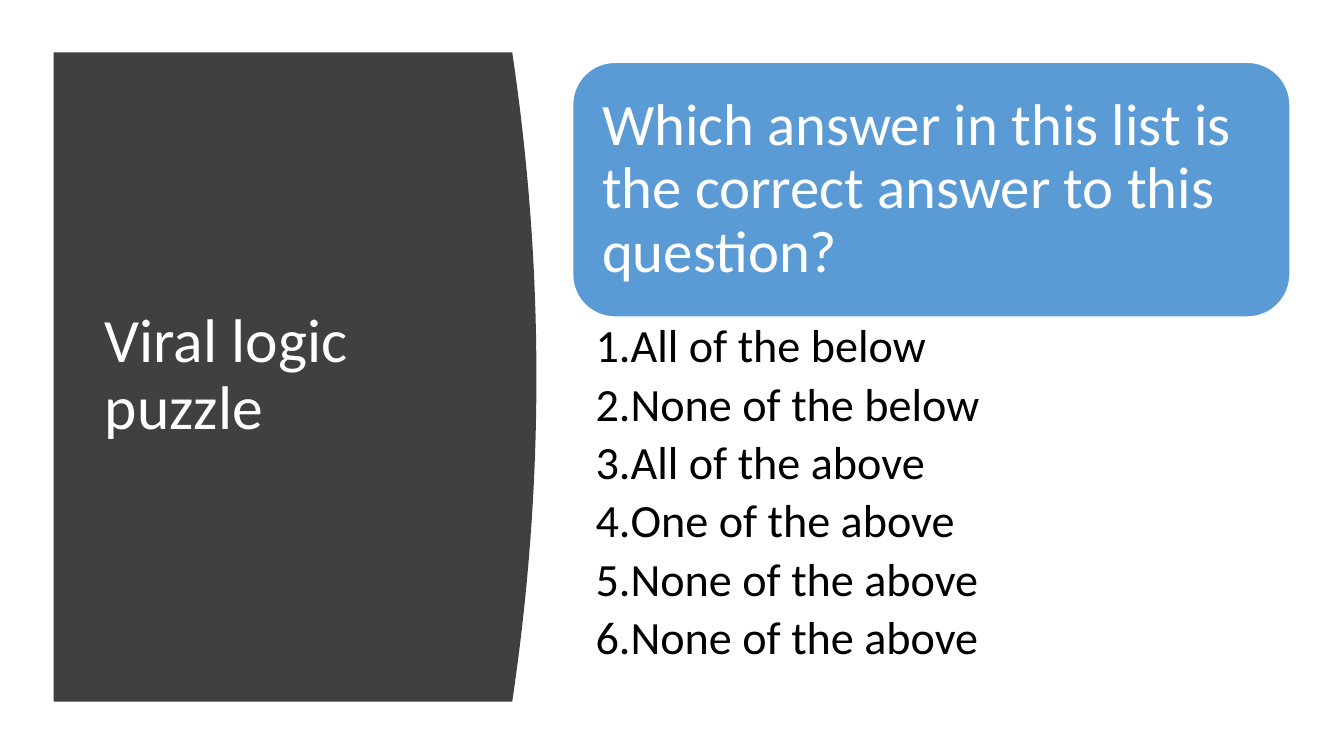
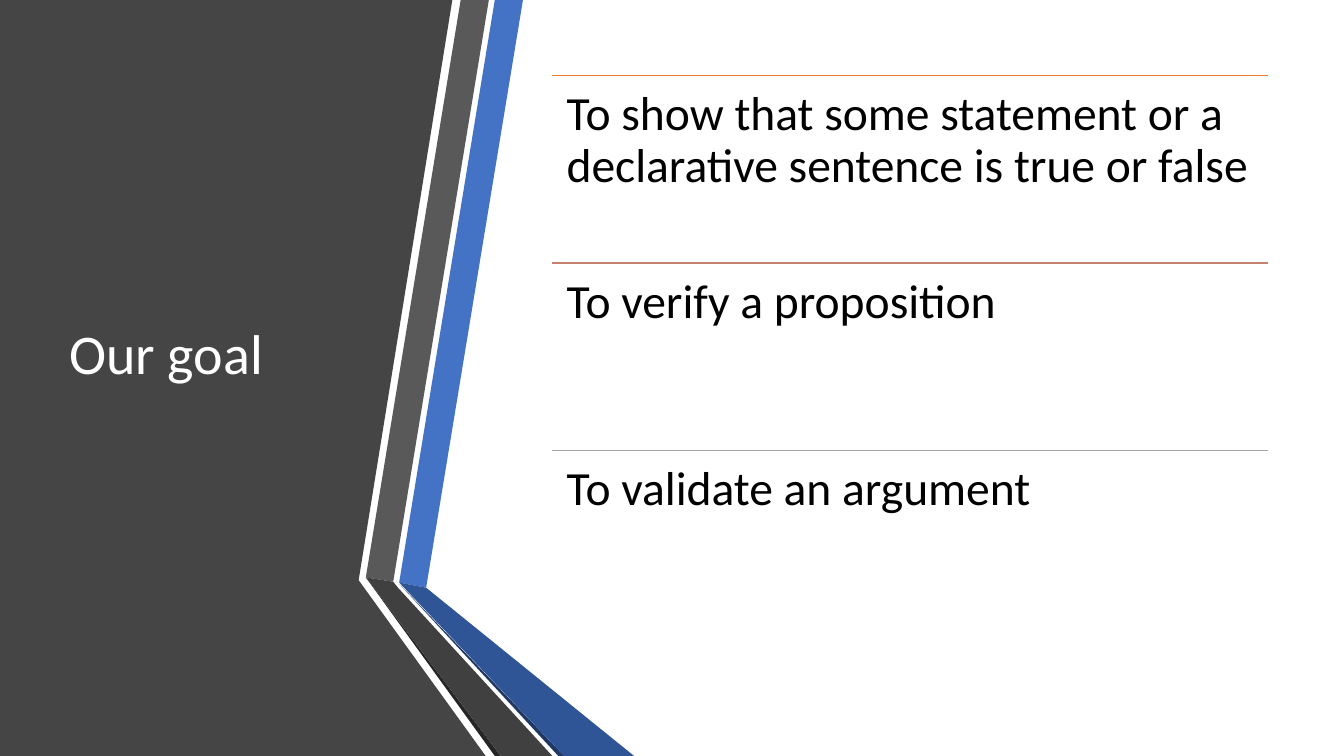
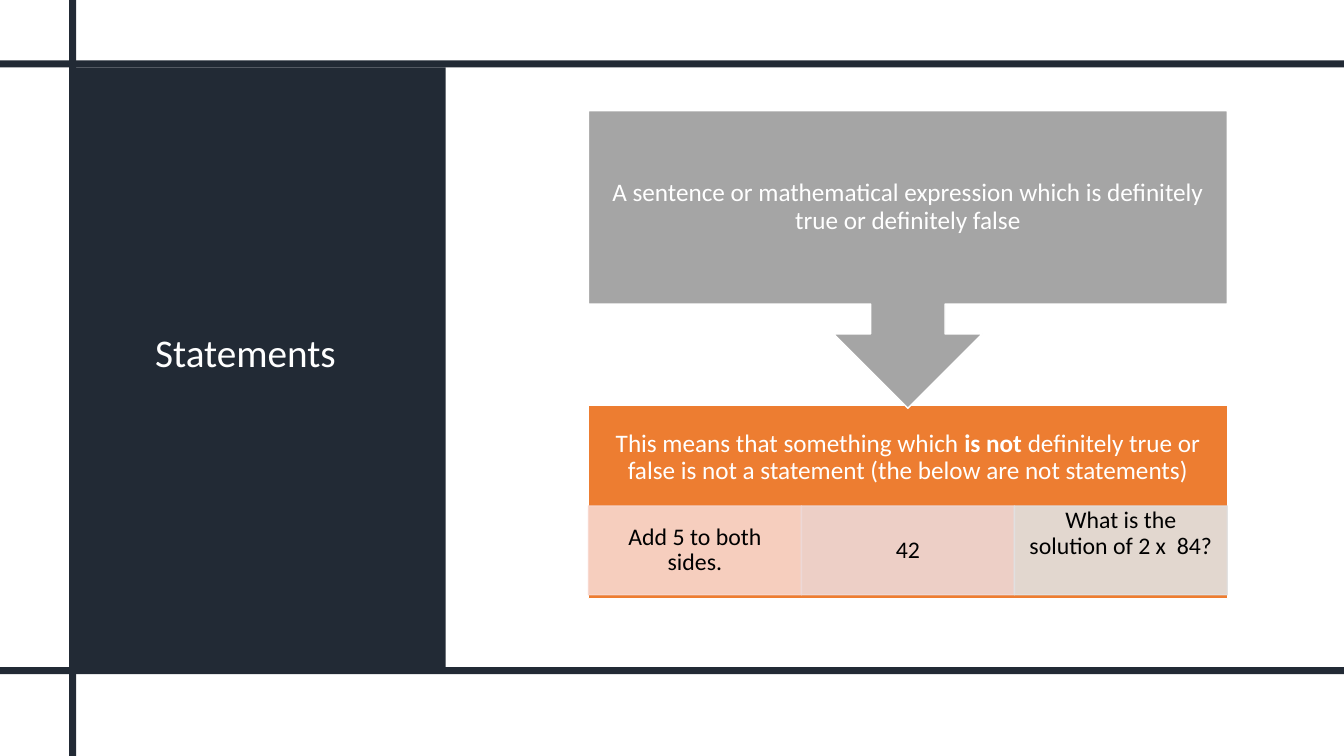
from lxml import etree
from pptx import Presentation
from pptx.dml.color import RGBColor
from pptx.enum.shapes import MSO_CONNECTOR, MSO_SHAPE
from pptx.enum.text import MSO_ANCHOR, MSO_AUTO_SIZE, PP_ALIGN
from pptx.oxml.ns import qn
from pptx.util import Cm, Pt

RECT = MSO_SHAPE.RECTANGLE
ROUND = MSO_SHAPE.ROUNDED_RECTANGLE
CALLOUT = MSO_SHAPE.DOWN_ARROW_CALLOUT
STRAIGHT = MSO_CONNECTOR.STRAIGHT
TOP, MIDDLE = MSO_ANCHOR.TOP, MSO_ANCHOR.MIDDLE
LEFT, CENTER = PP_ALIGN.LEFT, PP_ALIGN.CENTER
NO_FIT = MSO_AUTO_SIZE.NONE

WHITE = RGBColor(0xFF, 0xFF, 0xFF)
BLACK = RGBColor(0x00, 0x00, 0x00)
CHARCOAL = RGBColor(0x40, 0x40, 0x40)
SLATE = RGBColor(0x45, 0x45, 0x45)
GREY = RGBColor(0x59, 0x59, 0x59)
SOOT = RGBColor(0x26, 0x26, 0x26)
SILVER = RGBColor(0xA5, 0xA5, 0xA5)
SKY = RGBColor(0x5B, 0x9B, 0xD5)
BLUE = RGBColor(0x44, 0x72, 0xC4)
DENIM = RGBColor(0x2F, 0x55, 0x97)
NAVY = RGBColor(0x20, 0x38, 0x64)
INK = RGBColor(0x22, 0x2A, 0x35)
ORANGE = RGBColor(0xED, 0x7D, 0x31)
ROSE = RGBColor(0xC4, 0x81, 0x70)
PEACH = RGBColor(0xF8, 0xD7, 0xCE)
PINK = RGBColor(0xED, 0xD9, 0xD7)
PALE = RGBColor(0xE1, 0xE1, 0xE1)

FONT = "Calibri"
WIDTH, HEIGHT = 33.87, 19.05
INSET = (0.36, 0.36, 0.36, 0.36)


def assign(item, values):
    """Set every attribute in a dict of values."""
    for name, value in values.items():
        setattr(item, name, value)


def write(shape, paras, size, color, inset=INSET, anchor=MIDDLE, align=LEFT, after=0):
    """Fill a shape with paragraphs, each a list of (text, bold) runs."""
    frame = shape.text_frame
    sides = ("margin_left", "margin_top", "margin_right", "margin_bottom")
    assign(frame, {"word_wrap": True, "auto_size": NO_FIT, "vertical_anchor": anchor})
    assign(frame, {side: Cm(gap) for side, gap in zip(sides, inset)})
    for i, runs in enumerate(paras):
        para = frame.add_paragraph() if i else frame.paragraphs[0]
        assign(para, {"alignment": align, "line_spacing": 0.9,
                      "space_before": Pt(0), "space_after": Pt(after)})
        for text, bold in runs:
            run = para.add_run()
            run.text = text
            assign(run.font, {"name": FONT, "size": Pt(size), "bold": bold})
            run.font.color.rgb = color


def plain(text):
    """Make one paragraph of a single regular run."""
    return [(text, False)]


def paint(shape, fill, line=None):
    """Give a shape a flat fill and an optional thin outline."""
    shape.shadow.inherit = False
    shape.fill.solid()
    shape.fill.fore_color.rgb = fill
    if line is None:
        shape.line.fill.background()
    else:
        shape.line.color.rgb = line
        shape.line.width = Pt(1)
    return shape


def block(slide, kind, box, fill, line=None):
    """Add a painted preset shape in a box."""
    return paint(slide.shapes.add_shape(kind, *map(Cm, box)), fill, line)


def outline(slide, box, points, fill):
    """Add a closed outline whose points are relative to the box."""
    left, top = box[:2]
    spots = [(Cm(left + x), Cm(top + y)) for x, y in points]
    path = slide.shapes.build_freeform(*spots[0], scale=1.0)
    path.add_line_segments(spots[1:], close=True)
    return paint(path.convert_to_shape(), fill)


def head(slide, text, box, size):
    """Place the title above the shapes drawn so far."""
    title = slide.shapes.title
    title.element.getparent().append(title.element)
    names = ("left", "top", "width", "height")
    assign(title, {name: Cm(value) for name, value in zip(names, box)})
    write(title, [plain(text)], size, WHITE, (0.25, 0.13, 0.25, 0.13))


def panel(slide, box, bulge=0.61, steps=32):
    """Draw a dark panel with a bowed right side."""
    width, height = box[2:]
    marks = [2 * i / steps - 1 for i in range(steps + 1)]
    edge = [(width - bulge * t * t, height * (t + 1) / 2) for t in marks]
    outline(slide, box, [(0, 0), *edge, (0, height)], CHARCOAL)


def quiz(slide, box, question, answers):
    """Place a question card over a numbered list."""
    left, top, width, height = box
    card = 6.42
    shape = block(slide, ROUND, (left, top, width, card), SKY, WHITE)
    write(shape, [plain(question)], 42, WHITE, (0.43,) * 4)
    area = (left, top + card, width, height - card)
    items = slide.shapes.add_textbox(*map(Cm, area))
    write(items, [plain(text) for text in answers], 33, BLACK,
          (0.58, 0.15, 0.84, 0.15), TOP, after=6)
    for para in items.text_frame.paragraphs:
        props = para._p.get_or_add_pPr()
        props.set("marL", str(Cm(0.8)))
        props.set("indent", str(-Cm(0.8)))
        etree.SubElement(props, qn("a:buAutoNum"), type="arabicPeriod")


def ribbons(slide, box):
    """Draw the dark side and its two folded ribbons."""
    parts = (
        (SLATE, [(0, 0), (11.4, 0), (9.04, 14.62), (12.24, 19.05), (0, 19.05)]),
        (BLUE, [(10.06, 14.68), (10.74, 14.81), (13.18, 0), (12.47, 0)]),
        (GREY, [(12.32, 0), (11.61, 0), (9.22, 14.55), (9.91, 14.66)]),
        (SOOT, [(9.22, 14.55), (12.47, 19.05), (12.62, 19.05)]),
        (NAVY, [(10.06, 14.71), (14.07, 19.05), (14.22, 19.05)]),
        (DENIM, [(10.06, 14.68), (14.22, 19.05), (15.98, 19.05), (10.74, 14.81)]),
        (CHARCOAL, [(9.22, 14.55), (12.62, 19.05), (13.92, 19.05),
                    (10.03, 14.81), (9.91, 14.66)]),
    )
    for fill, points in parts:
        outline(slide, box, points, fill)


def goals(slide, box, rows):
    """Stack ruled rows of text at equal heights."""
    left, top, width, height = box
    step = height / len(rows)
    for i, (color, text) in enumerate(rows):
        y = top + i * step
        rule = slide.shapes.add_connector(
            STRAIGHT, Cm(left), Cm(y), Cm(left + width), Cm(y))
        rule.line.color.rgb = color
        rule.line.width = Pt(1)
        etree.SubElement(rule.element.find(qn("p:spPr")), qn("a:effectLst"))
        label = slide.shapes.add_textbox(*map(Cm, (left, y, width, step)))
        write(label, [plain(text)], 34, BLACK, anchor=TOP)


def frame(slide, box, bar=0.18):
    """Draw the dark side with crossing bars."""
    left, top, width, height = box
    block(slide, RECT, box, INK)
    for y in (top - bar, top + height):
        block(slide, RECT, (0, y, WIDTH, bar), INK)
    block(slide, RECT, (left - bar / 2, 0, bar, HEIGHT), INK)


def flow(slide, box, lead, runs, cells):
    """Place a callout that points to a band with cells."""
    left, top, width, height = box
    band, drop, deep = 4.88, 2.54, 2.24
    base = top + height - band
    shape = block(slide, RECT, (left, base, width, band), ORANGE, WHITE)
    write(shape, [runs], 18, WHITE, (0.36, 0.36, 0.36, band - 2.64 + 0.36), align=CENTER)
    step = width / len(cells)
    for i, (fill, text, anchor) in enumerate(cells):
        cell = block(slide, RECT, (left + i * step, base + drop, step, deep), fill, fill)
        for tint in cell.element.iter(qn("a:srgbClr")):
            etree.SubElement(tint, qn("a:alpha"), val="90000")
        write(cell, [plain(text)], 17, BLACK, (0.33, 0.05, 0.33, 0.05), anchor, CENTER)
    shape = block(slide, CALLOUT, (left, top, width, 7.5), SILVER, WHITE)
    write(shape, [plain(lead)], 18, WHITE, align=CENTER)


def puzzle(slide):
    """Build the puzzle slide."""
    panel(slide, (1.35, 1.32, 12.17, 16.36))
    head(slide, "Viral logic puzzle", (2.39, 2.82, 9.5, 13.31), 44)
    quiz(slide, (14.43, 1.57, 18.08, 15.83),
         "Which answer in this list is the correct answer to this question?",
         ("All of the below", "None of the below", "All of the above",
          "One of the above", "None of the above", "None of the above"))


def aims(slide):
    """Build the goal slide."""
    ribbons(slide, (0, 0, WIDTH, HEIGHT))
    head(slide, "Our goal", (1.5, 1.9, 7.72, 14.17), 40)
    goals(slide, (13.92, 1.9, 18.03, 14.17), (
        (ORANGE, "To show that some statement or a declarative sentence is true or false"),
        (ROSE, "To verify a proposition"),
        (SILVER, "To validate an argument")))


def claims(slide):
    """Build the statements slide."""
    frame(slide, (1.83, 1.7, 9.4, 15.11))
    head(slide, "Statements", (3.66, 2.79, 5.64, 12.29), 28)
    flow(slide, (14.83, 2.79, 16.1, 12.3),
         "A sentence or mathematical expression which is definitely true or definitely false",
         [("This means that something which ", False), ("is not ", True),
          ("definitely true or false is not a statement (the below are not statements)", False)],
         ((PEACH, "Add 5 to both sides.", MIDDLE), (PINK, "42", MIDDLE),
          (PALE, "What is the solution of 2 x  84?", TOP)))


def main():
    """Build and save the slides."""
    deck = Presentation()
    assign(deck, {"slide_width": Cm(WIDTH), "slide_height": Cm(HEIGHT)})
    for build in (puzzle, aims, claims):
        build(deck.slides.add_slide(deck.slide_layouts[5]))
    deck.save("out.pptx")


if __name__ == "__main__":
    main()
